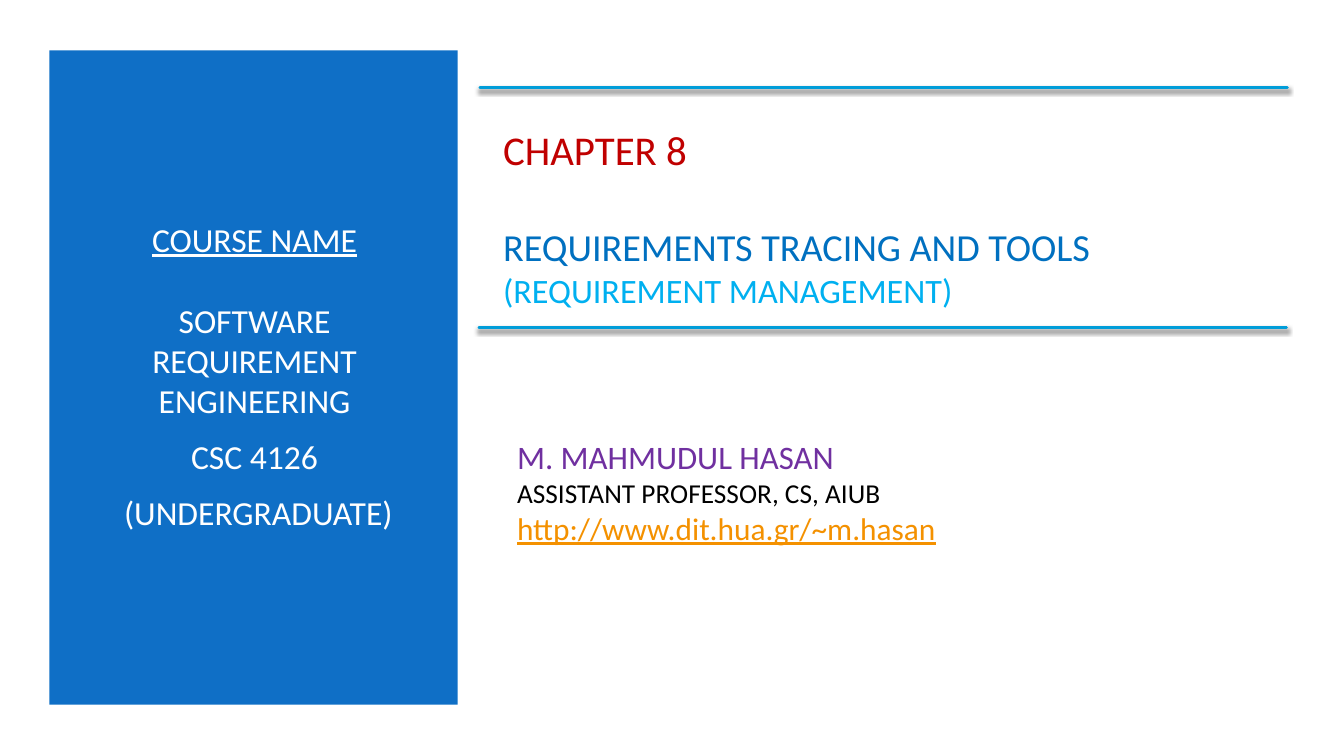
from dataclasses import dataclass

from lxml import etree
from pptx import Presentation
from pptx.dml.color import RGBColor
from pptx.enum.shapes import MSO_CONNECTOR, MSO_SHAPE
from pptx.enum.text import MSO_ANCHOR, MSO_AUTO_SIZE, PP_ALIGN
from pptx.oxml import parse_xml
from pptx.oxml.ns import nsdecls
from pptx.slide import Slide
from pptx.text.text import TextFrame
from pptx.util import Inches, Pt

STRAIGHT = MSO_CONNECTOR.STRAIGHT
RECTANGLE = MSO_SHAPE.RECTANGLE
MIDDLE = MSO_ANCHOR.MIDDLE
NO_AUTOFIT = MSO_AUTO_SIZE.NONE
LEFT, CENTER = PP_ALIGN.LEFT, PP_ALIGN.CENTER

FONT = "Calibri"
WHITE = RGBColor(0xFF, 0xFF, 0xFF)
BLACK = RGBColor(0x00, 0x00, 0x00)
PANEL_BLUE = RGBColor(0x0F, 0x6F, 0xC6)
RULE_BLUE = RGBColor(0x00, 0x9D, 0xD9)
RED = RGBColor(0xC0, 0x00, 0x00)
TOPIC_BLUE = RGBColor(0x00, 0x70, 0xC0)
SKY_BLUE = RGBColor(0x00, 0xB0, 0xF0)
PURPLE = RGBColor(0x70, 0x30, 0xA0)
ORANGE = RGBColor(0xF4, 0x91, 0x00)

RULE_SHADOW = (
    f'<a:effectLst {nsdecls("a")}>'
    '<a:outerShdw blurRad="38100" dist="25400" dir="5400000" rotWithShape="0">'
    '<a:srgbClr val="000000"><a:alpha val="55000"/></a:srgbClr>'
    "</a:outerShdw></a:effectLst>"
)


@dataclass(frozen=True)
class Line:
    text: str
    size: float
    color: RGBColor
    underline: bool = False
    before: float = 0
    after: float = 0


@dataclass(frozen=True)
class Box:
    left: float
    top: float
    width: float
    height: float

    def lengths(self) -> tuple[int, int, int, int]:
        return (Inches(self.left), Inches(self.top),
                Inches(self.width), Inches(self.height))


PANEL = Box(0.49, 0.5, 4.05, 6.49)
COURSE_BOX = Box(0.84, 1.1, 3.37, 5.25)
TITLE_BOX = Box(4.89, 1.1, 7.85, 2.11)
AUTHOR_BOX = Box(5.03, 4.1, 6.66, 1.56)
RULE_STARTS = ((4.76, 0.87), (4.75, 3.25))
RULE_LENGTH = 8.01

COURSE = (
    Line("COURSE NAME", 24, WHITE, underline=True, after=29),
    Line("SOFTWARE REQUIREMENT ENGINEERING", 24, WHITE, after=6),
    Line("CSC 4126", 24, WHITE, before=5, after=6),
    Line(" (UNDERGRADUATE)", 24, WHITE, before=5),
)
TITLE = (
    Line("CHAPTER 8", 29.2, RED, after=35.5),
    Line("REQUIREMENTS TRACING AND TOOLS", 27.3, TOPIC_BLUE),
    Line("(REQUIREMENT MANAGEMENT)", 24.4, SKY_BLUE),
)
AUTHOR = (
    Line("M. MAHMUDUL HASAN", 23.4, PURPLE),
    Line("ASSISTANT PROFESSOR, CS, AIUB", 19.5, BLACK),
    Line("http://www.dit.hua.gr/~m.hasan", 22.4, ORANGE, underline=True),
)


def write_lines(frame: TextFrame, lines: tuple[Line, ...], align: PP_ALIGN) -> None:
    frame.word_wrap = True
    frame.auto_size = NO_AUTOFIT
    frame.vertical_anchor = MIDDLE
    frame.text = "\n".join(line.text for line in lines)
    for paragraph, line in zip(frame.paragraphs, lines):
        paragraph.alignment = align
        paragraph.space_before = Pt(line.before)
        paragraph.space_after = Pt(line.after)
        font = paragraph.runs[0].font
        font.name = FONT
        font.size = Pt(line.size)
        font.color.rgb = line.color
        font.underline = line.underline


def add_panel(slide: Slide) -> None:
    panel = slide.shapes.add_shape(RECTANGLE, *PANEL.lengths())
    panel.shadow.inherit = False
    panel.fill.solid()
    panel.fill.fore_color.rgb = PANEL_BLUE
    panel.line.fill.background()


def add_text(slide: Slide, box: Box, lines: tuple[Line, ...], align: PP_ALIGN) -> None:
    text_box = slide.shapes.add_textbox(*box.lengths())
    write_lines(text_box.text_frame, lines, align)


def add_title(slide: Slide) -> None:
    title = slide.shapes.title
    title.left, title.top, title.width, title.height = TITLE_BOX.lengths()
    write_lines(title.text_frame, TITLE, LEFT)


def add_rule(slide: Slide, left: float, top: float) -> None:
    """Draw a horizontal rule with round ends and a soft shadow below."""
    rule = slide.shapes.add_connector(
        STRAIGHT, Inches(left), Inches(top), Inches(left + RULE_LENGTH), Inches(top))
    rule.line.color.rgb = RULE_BLUE
    rule.line.width = Pt(2)
    properties: etree._Element = rule.line._get_or_add_ln()
    properties.set("cap", "rnd")
    rule._element.spPr.append(parse_xml(RULE_SHADOW))


def main() -> None:
    deck = Presentation()
    deck.slide_width, deck.slide_height = Inches(13.33), Inches(7.5)
    slide = deck.slides.add_slide(deck.slide_layouts.get_by_name("Title Only"))
    add_panel(slide)
    add_text(slide, COURSE_BOX, COURSE, CENTER)
    add_title(slide)
    add_text(slide, AUTHOR_BOX, AUTHOR, LEFT)
    for left, top in RULE_STARTS:
        add_rule(slide, left, top)
    deck.save("out.pptx")


if __name__ == "__main__":
    main()
